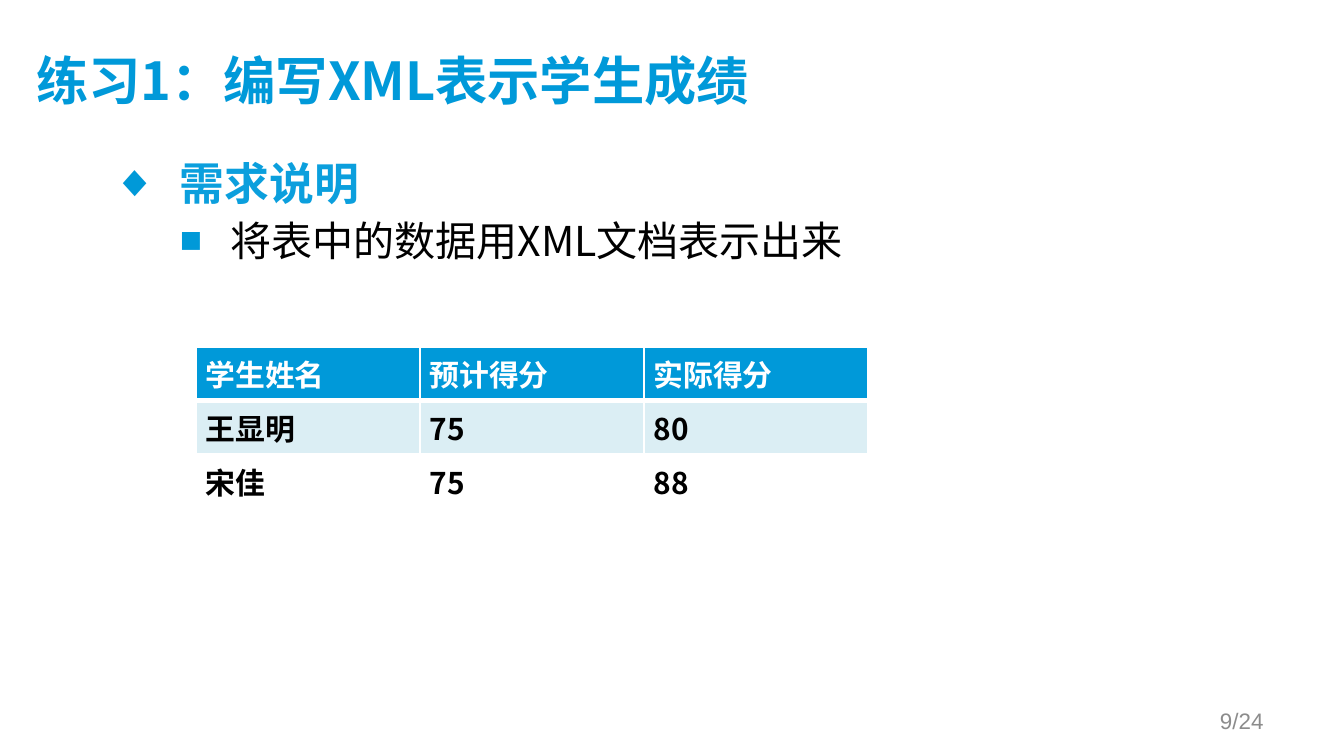
from lxml import etree
from pptx import Presentation
from pptx import util as u
from pptx.dml.color import RGBColor
from pptx.enum import text
from pptx.oxml import ns

TITLE = "练习1：编写XML表示学生成绩"
BULLETS = [
    {"text": "需求说明", "style": "heading", "symbol": "◆", "scale": 100, "left": 0.5, "hanging": 0.5},
    {"text": "将表中的数据用XML文档表示出来", "style": "body", "symbol": "■", "scale": 90, "left": 0.88, "hanging": 0.38},
]
SCORES = [
    ("学生姓名", "预计得分", "实际得分"),
    ("王显明", "75", "80"),
    ("宋佳", "75", "88"),
]
PAGE_NUMBER = "9/24"

CJK = "Noto Sans CJK SC"
THEME = {
    "title": (CJK, 28, "0099D9", True),
    "heading": (CJK, 24, "0B9FDD", True),
    "body": (CJK, 22, "000000", False),
    "table_header": (CJK, 16, "FFFFFF", True),
    "table_body": (CJK, 16, "000000", True),
    "page": ("Arial", 12, "8C8C8C", False),
    "bullet": "0099D8",
    "row_fills": ("0099D9", "DBEEF4", "FFFFFF"),
    "border": "FFFFFF",
}


def add_element(parent, tag, **attributes):
    return etree.SubElement(parent, ns.qn(f"a:{tag}"), attributes)


def write(paragraph, content, style):
    name, size, color, bold = THEME[style]
    paragraph.text = content
    font = paragraph.font
    font.size, font.bold = u.Pt(size), bold
    font.color.rgb = RGBColor.from_string(color)
    font.name = name
    properties = paragraph._p.pPr.find(ns.qn("a:defRPr"))
    add_element(properties, "ea", typeface=name)


def add_text_box(slide, left, top, width, height, anchor):
    box = slide.shapes.add_textbox(*map(u.Inches, (left, top, width, height)))
    box.text_frame.word_wrap = True
    box.text_frame.vertical_anchor = anchor
    return box.text_frame


def add_bullet(paragraph, item):
    paragraph.space_before = u.Pt(3)
    properties = paragraph._p.get_or_add_pPr()
    properties.set("marL", str(u.Inches(item["left"])))
    properties.set("indent", str(-u.Inches(item["hanging"])))
    color = add_element(properties, "buClr")
    add_element(color, "srgbClr", val=THEME["bullet"])
    add_element(properties, "buSzPct", val=str(item["scale"] * 1000))
    add_element(properties, "buFont", typeface="Arial")
    add_element(properties, "buChar", char=item["symbol"])
    write(paragraph, item["text"], item["style"])


def add_borders(cell, row):
    properties = cell._tc.get_or_add_tcPr()
    widths = {"lnL": 1, "lnR": 1, "lnT": 3 if row == 1 else 1, "lnB": 3 if row == 0 else 1}
    for side, width in widths.items():
        line = add_element(properties, side, w=str(u.Pt(width)))
        fill = add_element(line, "solidFill")
        add_element(fill, "srgbClr", val=THEME["border"])


def add_score_table(slide):
    frame = slide.shapes.add_table(
        len(SCORES), len(SCORES[0]), u.Inches(1.46), u.Inches(2.58), u.Inches(5), u.Inches(1.2))
    for row, values in enumerate(SCORES):
        for column, value in enumerate(values):
            cell = frame.table.cell(row, column)
            cell.margin_left = cell.margin_right = u.Inches(0.07)
            cell.margin_top = cell.margin_bottom = u.Inches(0.04)
            add_borders(cell, row)
            cell.fill.solid()
            cell.fill.fore_color.rgb = RGBColor.from_string(THEME["row_fills"][row])
            write(cell.text_frame.paragraphs[0], value, "table_body" if row else "table_header")


def main():
    presentation = Presentation()
    presentation.slide_width = u.Inches(10)
    presentation.slide_height = presentation.slide_width * 9 // 16
    slide = presentation.slides.add_slide(presentation.slide_layouts[6])

    title = add_text_box(slide, 0.27, 0.23, 8.95, 0.77, text.MSO_ANCHOR.MIDDLE)
    title.margin_left = title.margin_top = 0
    write(title.paragraphs[0], TITLE, "title")

    body = add_text_box(slide, 0.74, 1.11, 8.49, 3.71, text.MSO_ANCHOR.TOP)
    for index, item in enumerate(BULLETS):
        add_bullet(body.add_paragraph() if index else body.paragraphs[0], item)

    add_score_table(slide)

    page = add_text_box(slide, 7.17, 5.21, 2.33, 0.3, text.MSO_ANCHOR.MIDDLE)
    write(page.paragraphs[0], PAGE_NUMBER, "page")
    page.paragraphs[0].alignment = text.PP_ALIGN.RIGHT

    presentation.save("out.pptx")


if __name__ == "__main__":
    main()
